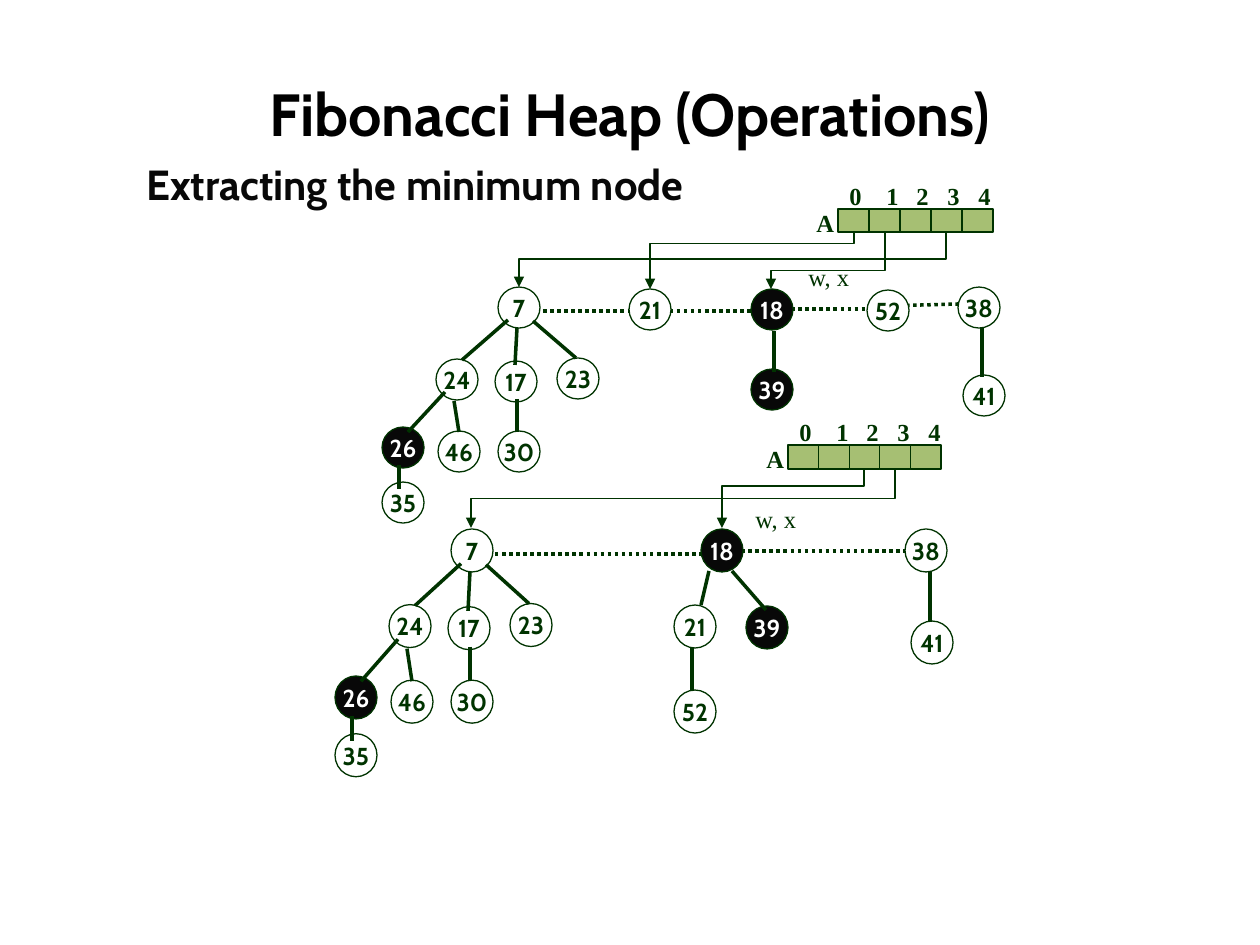
import lxml.etree
import pptx
import pptx.dml.color
import pptx.enum.dml
import pptx.enum.shapes
import pptx.enum.text
import pptx.oxml.ns
import pptx.util

RGBColor = pptx.dml.color.RGBColor
BLACK = RGBColor(0x00, 0x00, 0x00)
INK = RGBColor(0x08, 0x08, 0x08)
DARK_GREEN = RGBColor(0x00, 0x33, 0x00)
LIGHT_GREEN = RGBColor(0xA6, 0xBF, 0x73)
WHITE = RGBColor(0xFF, 0xFF, 0xFF)

ALIGN = pptx.enum.text.PP_ALIGN
ANCHOR = pptx.enum.text.MSO_ANCHOR
SHAPE = pptx.enum.shapes.MSO_SHAPE
CONNECTOR = pptx.enum.shapes.MSO_CONNECTOR
qn = pptx.oxml.ns.qn

PX_PER_INCH = 126
NODE_WIDTH = 42
MARKED = {18, 26, 39}
INDEX_TABS = [37, 67, 98, 129]

# The tree under 7 stands in both heaps; places are relative to its root.
TREE_NODES = [(7, 0, 0), (24, -62, 72), (17, -3, 74), (23, 59, 71),
              (26, -116, 140), (46, -60, 144), (30, 0, 144), (35, -116, 195)]
TREE_EDGES = [(10, 33, -36, 73), (19, 41, 17, 78), (35, 34, 78, 71),
              (-53, 105, -90, 145), (-44, 114, -39, 145),
              (19, 112, 19, 145), (-99, 178, -99, 202)]

# nodes: key, left, top; edges and dots: x1, y1, x2, y2;
# pointers: x1, y1, x2, y2, share of the height at which they bend
HEAPS = [
    dict(root=(498, 287), stretch=1, node_height=41,
         array=(838, 209, 155, 23), cursor=(796, 256),
         nodes=[(21, 629, 289), (18, 751, 289), (52, 867, 290),
                (38, 958, 287), (39, 751, 369), (41, 963, 375)],
         edges=[(774, 331, 774, 372), (982, 328, 982, 377)],
         dots=[(543, 311, 759, 311), (756, 309, 897, 309),
               (885, 306, 958, 304)],
         pointers=[(946, 231, 519, 287, 0.5), (854, 231, 650, 289, 0.21),
                   (885, 232, 771, 289, 0.68)]),
    dict(root=(451, 529), stretch=1.05, node_height=43,
         array=(788, 445, 153, 24), cursor=(743, 498),
         nodes=[(18, 701, 529), (38, 905, 529), (21, 674, 605),
                (39, 746, 606), (41, 911, 621), (52, 674, 690)],
         edges=[(709, 571, 701, 605), (732, 571, 766, 610),
                (692, 648, 692, 690), (930, 571, 930, 622)],
         dots=[(495, 554, 709, 554), (706, 551, 906, 551)],
         pointers=[(895, 469, 471, 528, 0.5), (864, 469, 722, 528, 0.29)]),
]


def px(value):
    return round(value * 914400 / PX_PER_INCH)


def write_text(shape, text, size=14, font="Cabin", color=DARK_GREEN, bold=True,
               align=ALIGN.LEFT, anchor=ANCHOR.TOP, wrap=False):
    frame = shape.text_frame
    frame.word_wrap = wrap
    frame.vertical_anchor = anchor
    paragraph = frame.paragraphs[0]
    paragraph.alignment = align
    run = paragraph.add_run()
    run.text = text
    run.font.size = pptx.util.Pt(size)
    run.font.name = font
    run.font.bold = bold
    run.font.color.rgb = color
    return paragraph


def add_label(slide, text, left, top, width, height, **text_format):
    box = slide.shapes.add_textbox(px(left), px(top), px(width), px(height))
    return box, write_text(box, text, **text_format)


def add_outlined(slide, kind, left, top, width, height, fill):
    shape = slide.shapes.add_shape(kind, px(left), px(top), px(width), px(height))
    shape.shadow.inherit = False
    shape.fill.solid()
    shape.fill.fore_color.rgb = fill
    shape.line.color.rgb = DARK_GREEN
    shape.line.width = pptx.util.Pt(0.75)
    return shape


def add_line(slide, x1, y1, x2, y2, width=2, kind=CONNECTOR.STRAIGHT, dotted=False):
    line = slide.shapes.add_connector(kind, px(x1), px(y1), px(x2), px(y2))
    line.line.color.rgb = DARK_GREEN
    line.line.width = pptx.util.Pt(width)
    if dotted:
        line.line.dash_style = pptx.enum.dml.MSO_LINE.ROUND_DOT
    lxml.etree.SubElement(line.element.spPr, qn("a:effectLst"))
    return line


def add_pointer(slide, x1, y1, x2, y2, bend):
    """Arrow running down, left and down: an elbow turned by a quarter."""
    middle_x, middle_y = (x1 + x2) / 2, (y1 + y2) / 2
    half_width, half_height = (y2 - y1) / 2, (x1 - x2) / 2
    pointer = add_line(slide, middle_x - half_width, middle_y - half_height,
                       middle_x + half_width, middle_y + half_height,
                       width=0.75, kind=CONNECTOR.ELBOW)
    properties = pointer.element.spPr
    properties.find(qn("a:xfrm")).set("rot", "5400000")
    geometry = properties.find(qn("a:prstGeom"))
    adjustments = geometry.find(qn("a:avLst"))
    if adjustments is None:
        adjustments = lxml.etree.SubElement(geometry, qn("a:avLst"))
    lxml.etree.SubElement(adjustments, qn("a:gd"), name="adj1",
                          fmla=f"val {round(bend * 100000)}")
    lxml.etree.SubElement(properties.find(qn("a:ln")), qn("a:tailEnd"), type="triangle")


def add_node(slide, key, left, top, height):
    marked = key in MARKED
    node = add_outlined(slide, SHAPE.OVAL, left, top, NODE_WIDTH, height,
                        INK if marked else WHITE)
    write_text(node, str(key), color=WHITE if marked else DARK_GREEN,
               align=ALIGN.CENTER, anchor=ANCHOR.MIDDLE)


def add_array(slide, left, top, width, height):
    serif = dict(font="Times New Roman")
    paragraph = add_label(slide, "0\t1\t2\t3\t4", left - 1, top - 34, 168, 43,
                          wrap=True, **serif)[1]
    tabs = lxml.etree.SubElement(paragraph._p.get_or_add_pPr(), qn("a:tabLst"))
    for position in INDEX_TABS:
        lxml.etree.SubElement(tabs, qn("a:tab"), pos=str(px(position)), algn="l")
    cell_width = width / 5
    for index in range(5):
        add_outlined(slide, SHAPE.RECTANGLE, left + index * cell_width, top,
                     cell_width, height, LIGHT_GREEN)
    add_label(slide, "A", left - 34, top - 7, 43, 43, **serif)


def add_heap(slide, heap):
    root_x, root_y = heap["root"]
    stretch = heap["stretch"]
    tree_nodes = [(key, root_x + x, root_y + y * stretch) for key, x, y in TREE_NODES]
    tree_edges = [(root_x + x1, root_y + y1 * stretch, root_x + x2, root_y + y2 * stretch)
                  for x1, y1, x2, y2 in TREE_EDGES]
    add_array(slide, *heap["array"])
    for dots in heap["dots"]:
        add_line(slide, *dots, dotted=True)
    for node in tree_nodes + heap["nodes"]:
        add_node(slide, *node, heap["node_height"])
    cursor = add_label(slide, "w, x", *heap["cursor"], 67, 43,
                       font="Times New Roman", bold=False)[0]
    cursor.fill.solid()
    cursor.fill.fore_color.rgb = WHITE
    for edge in tree_edges + heap["edges"]:
        add_line(slide, *edge)
    for pointer in heap["pointers"]:
        add_pointer(slide, *pointer)


def main():
    presentation = pptx.Presentation()
    presentation.slide_width, presentation.slide_height = px(1260), px(945)
    slide = presentation.slides.add_slide(presentation.slide_layouts[5])

    title = slide.shapes.title
    title.left, title.top, title.width, title.height = px(63), px(63), px(1134), px(100)
    write_text(title, "Fibonacci Heap (Operations)", size=34, color=BLACK,
               align=ALIGN.CENTER, anchor=ANCHOR.MIDDLE, wrap=True)

    subtitle = add_label(slide, "Extracting the minimum node", 134, 127, 992, 306,
                         size=24, color=INK, align=ALIGN.JUSTIFY, wrap=True)[1]
    subtitle.line_spacing = 1.5
    subtitle.space_before = pptx.util.Pt(4.8)

    for heap in HEAPS:
        add_heap(slide, heap)
    presentation.save("out.pptx")


if __name__ == "__main__":
    main()
